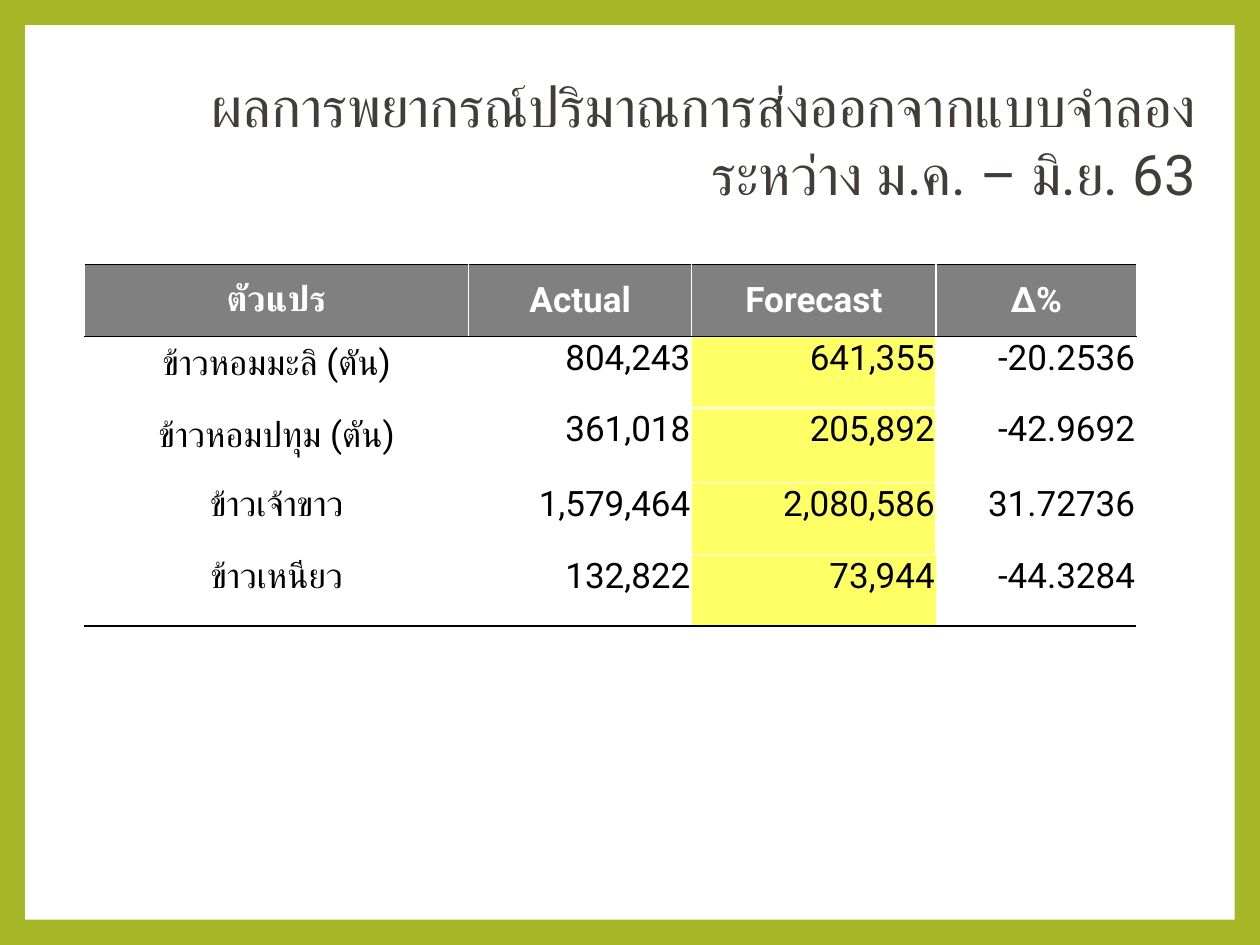
from lxml import etree
from pptx import Presentation
from pptx.dml.color import RGBColor
from pptx.enum.shapes import MSO_SHAPE
from pptx.enum.text import MSO_ANCHOR, PP_ALIGN
from pptx.oxml.ns import qn
from pptx.util import Inches, Pt

RECT = MSO_SHAPE.RECTANGLE
TOP, MIDDLE = MSO_ANCHOR.TOP, MSO_ANCHOR.MIDDLE
CENTER, RIGHT = PP_ALIGN.CENTER, PP_ALIGN.RIGHT

GREEN = RGBColor(0xA6, 0xB7, 0x27)
WHITE = RGBColor(0xFF, 0xFF, 0xFF)
BLACK = RGBColor(0, 0, 0)
GRAY = RGBColor(0x80, 0x80, 0x80)
YELLOW = RGBColor(0xFF, 0xFF, 0x66)
DARK = RGBColor(0x40, 0x3E, 0x37)

NO_STYLE = "{2D5ABB26-0587-4C30-8999-92F81FD0307C}"
TITLE = "ผลการพยากรณ์ปริมาณการส่งออกจากแบบจำลองระหว่าง ม.ค. – มิ.ย. 63"
COLS = [3.05, 1.77, 1.94, 1.59]
ROWS = [0.57, 0.57, 0.59, 0.57, 0.57]
DATA = [
    ["ตัวแปร", "Actual", "Forecast", "∆%"],
    ["ข้าวหอมมะลิ (ตัน)", "804,243", "641,355", "-20.2536"],
    ["ข้าวหอมปทุม (ตัน)", "361,018", "205,892", "-42.9692"],
    ["ข้าวเจ้าขาว", "1,579,464", "2,080,586", "31.72736"],
    ["ข้าวเหนียว", "132,822", "73,944", "-44.3284"],
]
SIDES = {"L": WHITE, "R": WHITE}
EDGES = [
    {**SIDES, "T": BLACK, "B": BLACK},
    {**SIDES, "T": BLACK, "B": WHITE},
    {**SIDES, "T": WHITE, "B": WHITE},
    {**SIDES, "T": WHITE},
    {"B": BLACK},
]


class Deck:
    font = "Roboto"

    def __init__(self):
        self.prs = Presentation()
        self.prs.slide_width, self.prs.slide_height = Inches(10), Inches(7.5)
        self.slide = self.prs.slides.add_slide(self.prs.slide_layouts[5])
        fill = self.slide.background.fill
        fill.solid()
        fill.fore_color.rgb = GREEN

    def label(self, frame, text, size, color, align, bold=False):
        frame.text = text
        para = frame.paragraphs[0]
        para.alignment = align
        font = para.font
        font.name, font.size, font.bold = self.font, Pt(size), bold
        font.color.rgb = color

    def panel(self, *box):
        shape = self.slide.shapes.add_shape(RECT, *map(Inches, box))
        shape.shadow.inherit = False
        shape.fill.solid()
        shape.fill.fore_color.rgb = WHITE
        shape.line.fill.background()
        self.slide.shapes.title._element.addprevious(shape._element)

    def title(self, text, *box):
        shape = self.slide.shapes.title
        shape.left, shape.top, shape.width, shape.height = map(Inches, box)
        frame = shape.text_frame
        frame.word_wrap = True
        frame.vertical_anchor = TOP
        self.label(frame, text, 32, DARK, RIGHT)

    def edge(self, cell, side, color):
        props = cell._tc.get_or_add_tcPr()
        line = etree.SubElement(props, qn(f"a:ln{side}"), w=str(Pt(1)))
        fill = etree.SubElement(line, qn("a:solidFill"))
        etree.SubElement(fill, qn("a:srgbClr"), val=str(color))

    def cell(self, cell, text, row, col):
        head = row == 0
        for side, color in EDGES[row].items():
            self.edge(cell, side, color)
        cell.fill.solid()
        cell.fill.fore_color.rgb = GRAY if head else YELLOW if col == 2 else WHITE
        cell.vertical_anchor = MIDDLE if head else TOP
        if not head and col:
            cell.margin_left = cell.margin_right = cell.margin_top = Inches(0.01)
            cell.margin_bottom = 0
        align = CENTER if head or col == 0 else RIGHT
        self.label(cell.text_frame, text, 20, WHITE if head else BLACK, align, head)

    def table(self, data, left, top):
        box = map(Inches, (left, top, sum(COLS), sum(ROWS)))
        table = self.slide.shapes.add_table(len(ROWS), len(COLS), *box).table
        table.first_row = table.horz_banding = False
        table._tbl.tblPr.find(qn("a:tableStyleId")).text = NO_STYLE
        for col, width in zip(table.columns, COLS):
            col.width = Inches(width)
        for row, height in zip(table.rows, ROWS):
            row.height = Inches(height)
        for r, texts in enumerate(data):
            for c, text in enumerate(texts):
                self.cell(table.cell(r, c), text, r, c)


def main():
    deck = Deck()
    deck.panel(0.2, 0.2, 9.6, 7.1)
    deck.title(TITLE, 0.51, 0.52, 9.08, 1.18)
    deck.table(DATA, 0.67, 2.1)
    deck.prs.save("out.pptx")


if __name__ == "__main__":
    main()
